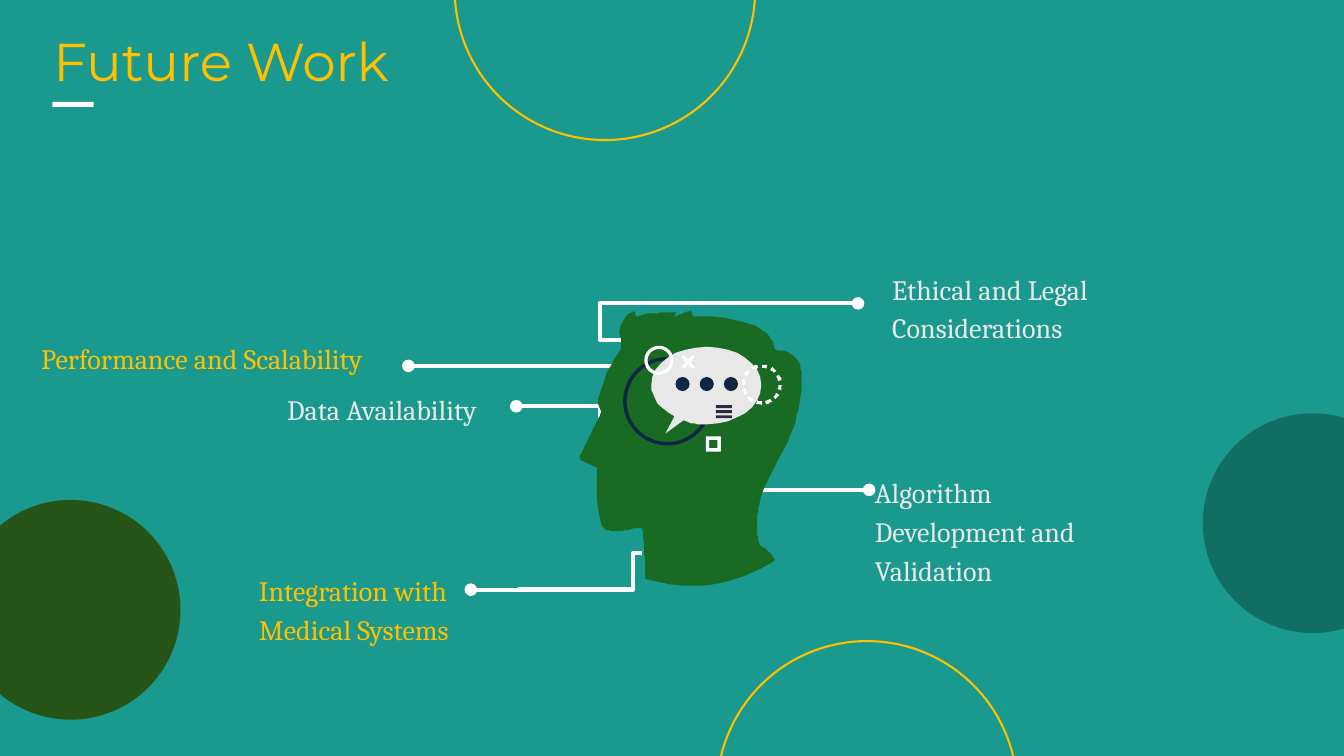
from dataclasses import dataclass
from math import cos, radians, sin

from lxml.etree import SubElement
from pptx import Presentation
from pptx.dml.color import RGBColor
from pptx.enum.shapes import MSO_CONNECTOR, MSO_SHAPE
from pptx.enum.text import MSO_AUTO_SIZE
from pptx.oxml.ns import qn
from pptx.shapes.autoshape import Shape
from pptx.shapes.connector import Connector
from pptx.slide import Slide
from pptx.util import Pt

PX = 9144
TEAL = RGBColor(0x1A, 0x99, 0x8E)
DEEP_TEAL = RGBColor(0x10, 0x6E, 0x65)
OLIVE = RGBColor(0x27, 0x54, 0x17)
GREEN = RGBColor(0x19, 0x6B, 0x24)
GOLD = RGBColor(0xFF, 0xC0, 0x00)
WHITE = RGBColor(0xFF, 0xFF, 0xFF)
LIGHT = RGBColor(0xE8, 0xE8, 0xE8)
NAVY = RGBColor(0x0E, 0x28, 0x41)
INK = RGBColor(0x2B, 0x2A, 0x40)

Point = tuple[float, float]


@dataclass
class Label:
    text: str
    x: int
    y: int
    w: int
    h: int
    color: RGBColor
    size: int = 20
    font: str = "Cambria"
    spacing: float | None = 1.15
    after: int = 16
    inset: int = 10
    grow: bool = False


@dataclass
class Leader:
    start: int
    dot: int
    y: int
    bent_start: int
    bend: int
    end: int
    end_y: int


@dataclass
class Figure:
    kind: MSO_SHAPE
    x: int
    y: int
    w: int
    h: int
    fill: RGBColor | None = None
    line: RGBColor | None = None
    adjust: float | None = None


LABELS = [
    Label("Future Work", 43, 18, 429, 79, GOLD, 38, "Montserrat", None, 0),
    Label("Data Availability", 275, 374, 240, 48, LIGHT),
    Label("Algorithm Development and Validation", 858, 457, 240, 131, LIGHT),
    Label("Integration with Medical Systems", 247, 554, 240, 79, GOLD),
    Label("Performance and Scalability", 31, 334, 458, 44, GOLD,
          spacing=None, after=0, inset=5, grow=True),
    Label("Ethical and Legal Considerations", 875, 255, 378, 81, LIGHT),
]

LEADERS = [
    Leader(551, 405, 363, 472, 632, 645, 326),
    Leader(566, 512, 403, 536, 595, 600, 440),
    Leader(808, 862, 486, 837, 595, 773, 449),
    Leader(798, 851, 301, 827, 595, 763, 337),
    Leader(570, 467, 585, 514, 628, 637, 549),
]

HEAD = [
    (629, 308), (622, 312, 618, 317, 615, 325), (613, 331, 617, 337, 616, 344),
    (616, 349, 611, 353, 609, 357), (602, 368, 598, 381, 594, 393),
    (593, 397, 593, 400, 594, 403), (595, 405), (596, 408, 596, 412, 594, 414),
    (576, 451), (574, 453, 575, 456, 577, 457), (592, 464),
    (592, 464, 589, 521, 601, 526), (603, 526, 606, 527, 609, 527),
    (618, 527, 629, 524, 634, 524), (636, 524, 637, 524, 637, 525),
    (639, 529, 640, 569, 640, 574), (642, 575, 645, 576, 647, 576),
    (659, 580, 672, 581, 685, 581), (714, 581, 741, 573, 764, 559),
    (766, 558, 768, 556, 769, 555), (765, 550, 759, 544, 753, 540),
    (753, 540, 751, 530, 751, 529), (751, 520, 751, 510, 753, 501),
    (758, 477, 772, 458, 782, 437), (789, 421, 793, 404, 795, 387),
    (795, 381, 796, 375, 795, 369), (794, 360, 790, 353, 781, 349),
    (779, 348, 770, 348, 769, 347), (768, 346, 768, 343, 767, 341),
    (767, 339, 765, 336, 763, 334), (758, 327, 747, 322, 739, 320),
    (728, 317, 716, 314, 704, 314), (687, 314), (686, 312, 687, 310, 686, 308),
    (680, 309, 674, 314, 668, 314), (669, 313, 670, 312, 671, 310),
    (665, 309, 652, 311, 646, 311), (640, 311, 636, 313, 631, 314),
    (630, 312, 630, 310, 629, 308),
]

BUBBLE = [
    (701, 344), (671, 344, 646, 361, 646, 382), (646, 395, 655, 406, 669, 413),
    (660, 430), (678, 417), (685, 420, 693, 421, 701, 421),
    (731, 421, 755, 404, 755, 382), (755, 361, 731, 344, 701, 344),
]

ICONS = [
    *(Figure(MSO_SHAPE.OVAL, 670 + 24 * i, 374, 14, 14, NAVY) for i in range(3)),
    *(Figure(MSO_SHAPE.RECTANGLE, 710, 402 + 5 * i, 16, 3, INK) for i in range(3)),
    Figure(MSO_SHAPE.DONUT, 639, 343, 29, 29, WHITE, adjust=0.11),
    Figure(MSO_SHAPE.FRAME, 700, 433, 15, 15, WHITE, adjust=0.23),
]

DECOR = [
    Figure(MSO_SHAPE.RECTANGLE, 52, 101, 41, 5, WHITE),
    Figure(MSO_SHAPE.OVAL, -39, 496, 218, 218, OLIVE),
    Figure(MSO_SHAPE.OVAL, 1193, 410, 218, 218, DEEP_TEAL),
    Figure(MSO_SHAPE.OVAL, 451, -159, 298, 298, line=GOLD),
    Figure(MSO_SHAPE.OVAL, 711, 636, 298, 298, line=GOLD),
]


def paint(sp: Shape, fill: RGBColor | None, line: RGBColor | None = None) -> None:
    """Set the fill and outline of a shape and drop its shadow."""
    sp.shadow.inherit = False
    if fill is None:
        sp.fill.background()
    else:
        sp.fill.solid()
        sp.fill.fore_color.rgb = fill
    if line is None:
        sp.line.fill.background()
    else:
        sp.line.color.rgb = line
        sp.line.width = Pt(1.5)


def add_figure(s: Slide, f: Figure) -> None:
    """Draw one preset shape."""
    sp = s.shapes.add_shape(f.kind, f.x * PX, f.y * PX, f.w * PX, f.h * PX)
    if f.adjust is not None:
        sp.adjustments[0] = f.adjust
    paint(sp, f.fill, f.line)


def trace(segments: list[tuple[int, ...]], steps: int = 8) -> list[Point]:
    """Turn line ends and cubic curves into points."""
    points: list[Point] = []
    for seg in segments:
        if len(seg) == 2:
            points.append(seg)
            continue
        x0, y0 = points[-1]
        x1, y1, x2, y2, x3, y3 = seg
        for i in range(1, steps + 1):
            t = i / steps
            a, b, c, d = (1 - t) ** 3, 3 * t * (1 - t) ** 2, 3 * t * t * (1 - t), t ** 3
            points.append((a * x0 + b * x1 + c * x2 + d * x3,
                           a * y0 + b * y1 + c * y2 + d * y3))
    return points


def ring_dash(start: int, span: int = 16) -> list[Point]:
    """Return the outline of one dash of the dashed ring."""
    angles = [radians(start + span * i / 4) for i in range(5)]
    edges = [(20, a) for a in angles] + [(16.5, a) for a in reversed(angles)]
    return [(755.5 + r * cos(a), 381.5 + r * sin(a)) for r, a in edges]


def add_outline(s: Slide, contours: list[list[Point]], fill: RGBColor) -> None:
    """Draw a filled freeform from closed contours."""
    fb = s.shapes.build_freeform(*contours[0][0], scale=PX)
    for i, points in enumerate(contours):
        if i:
            fb.move_to(*points[0])
        fb.add_line_segments(points[1:], close=True)
    paint(fb.convert_to_shape(), fill)


def add_line(s: Slide, kind: MSO_CONNECTOR, start: Point, end: Point, width: float) -> Connector:
    """Draw a white connector without a shadow."""
    cx = s.shapes.add_connector(kind, *(v * PX for v in (*start, *end)))
    cx.line.color.rgb = WHITE
    cx.line.width = Pt(width)
    SubElement(cx._element.spPr, qn("a:effectLst"))
    return cx


def add_leader(s: Slide, ld: Leader) -> None:
    """Draw a dotted straight line and the elbow that joins it to the head."""
    cx = add_line(s, MSO_CONNECTOR.STRAIGHT, (ld.start, ld.y), (ld.dot, ld.y), 3)
    SubElement(cx.line._get_or_add_ln(), qn("a:tailEnd"), type="oval")
    cx = add_line(s, MSO_CONNECTOR.ELBOW, (ld.bent_start, ld.y), (ld.end, ld.end_y), 3)
    ratio = (ld.bend - ld.bent_start) / (ld.end - ld.bent_start)
    guides = cx._element.spPr.find(qn("a:prstGeom")).get_or_add_avLst()
    SubElement(guides, qn("a:gd"), name="adj1", fmla=f"val {round(ratio * 100000)}")


def add_label(s: Slide, lb: Label) -> None:
    """Draw one text box."""
    tf = s.shapes.add_textbox(lb.x * PX, lb.y * PX, lb.w * PX, lb.h * PX).text_frame
    tf.word_wrap = True
    tf.auto_size = MSO_AUTO_SIZE.SHAPE_TO_FIT_TEXT if lb.grow else MSO_AUTO_SIZE.NONE
    tf.margin_left = tf.margin_right = 10 * PX
    tf.margin_top = tf.margin_bottom = lb.inset * PX
    p = tf.paragraphs[0]
    p.line_spacing = lb.spacing
    p.space_after = Pt(lb.after)
    r = p.add_run()
    r.text = lb.text
    r.font.name = lb.font
    r.font.size = Pt(lb.size)
    r.font.color.rgb = lb.color


def main() -> None:
    """Build the slide and save it."""
    prs = Presentation()
    prs.slide_width, prs.slide_height = 1333 * PX, 750 * PX
    s = prs.slides.add_slide(prs.slide_layouts[6])
    s.background.fill.solid()
    s.background.fill.fore_color.rgb = TEAL
    for ld in LEADERS:
        add_leader(s, ld)
    add_outline(s, [trace(HEAD)], GREEN)
    add_figure(s, Figure(MSO_SHAPE.DONUT, 618, 354, 88, 88, NAVY, adjust=0.04))
    add_outline(s, [trace(BUBBLE)], LIGHT)
    add_outline(s, [ring_dash(a) for a in range(0, 360, 30)], WHITE)
    for top, bottom in ((353, 365), (365, 353)):
        add_line(s, MSO_CONNECTOR.STRAIGHT, (677, top), (688, bottom), 2.3)
    for f in ICONS + DECOR:
        add_figure(s, f)
    for lb in LABELS:
        add_label(s, lb)
    prs.save("out.pptx")


if __name__ == "__main__":
    main()
